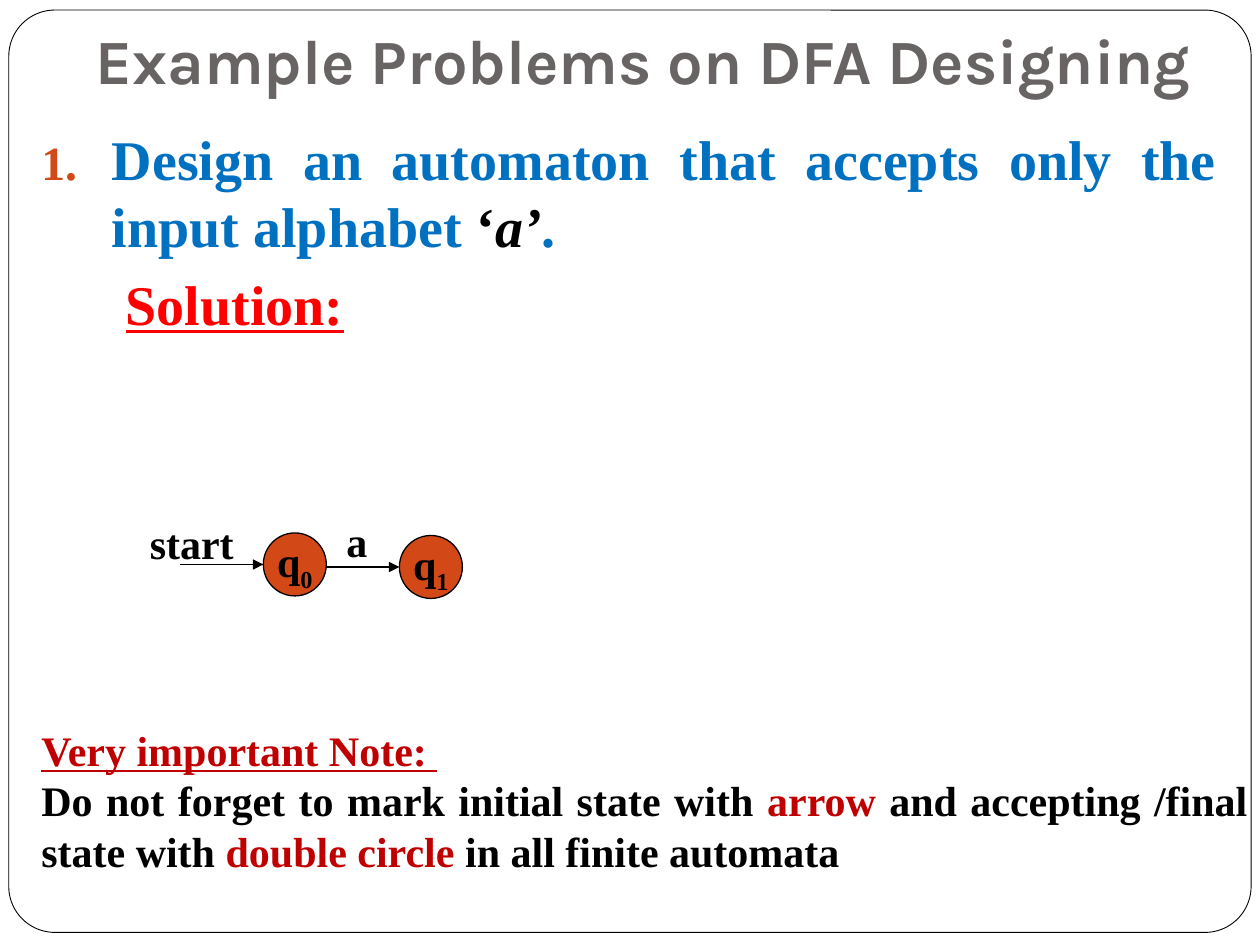
"""Build a slide on designing a DFA that accepts only the input 'a'."""
from dataclasses import dataclass, field
from typing import Any

import pptx
import pptx.dml.color
import pptx.enum.shapes
import pptx.enum.text
import pptx.oxml
import pptx.util
from pptx.util import Inches

ALIGN = pptx.enum.text.PP_ALIGN
ANCHOR = pptx.enum.text.MSO_ANCHOR
SHAPES = pptx.enum.shapes.MSO_SHAPE
NAMESPACE = 'xmlns:a="http://schemas.openxmlformats.org/drawingml/2006/main"'
BLACK, WHITE, GREY = "000000", "FFFFFF", "696464"
BLUE, RED, DARK_RED, ORANGE = "0070C0", "FF0000", "C00000", "D34817"
SERIF = "Times New Roman"
NUMBERING = (
    f'<a:buClr {{ns}}><a:srgbClr val="{ORANGE}"/></a:buClr>',
    '<a:buSzPct {ns} val="85000"/>',
    f'<a:buFont {{ns}} typeface="{SERIF}"/>',
    '<a:buAutoNum {ns} type="arabicPeriod"/>',
)


@dataclass
class Span:
    text: str
    color: str = BLACK
    size: float = 24
    font: str = SERIF
    style: dict[str, Any] = field(default_factory=dict)
    baseline: int = 0


@dataclass
class Line:
    spans: list[Span]
    align: Any = ALIGN.JUSTIFY
    before: float = 0
    margin: float = 0
    indent: float = 0
    numbered: bool = False


@dataclass
class State:
    index: str
    left: float
    top: float
    arrow_start: float
    label: str
    label_box: tuple[float, float, float, float]


def rgb(color: str) -> pptx.dml.color.RGBColor:
    return pptx.dml.color.RGBColor.from_string(color)


def set_all(target: Any, values: dict[str, Any]) -> None:
    for name, value in values.items():
        setattr(target, name, value)


def append_xml(parent: Any, xml: str) -> None:
    parent.append(pptx.oxml.parse_xml(xml.format(ns=NAMESPACE)))


def write(frame: Any, lines: list[Line], **frame_format: Any) -> None:
    set_all(frame, {"word_wrap": True, **frame_format})
    for number, line in enumerate(lines):
        paragraph = frame.add_paragraph() if number else frame.paragraphs[0]
        properties = paragraph._p.get_or_add_pPr()
        properties.set("marL", str(Inches(line.margin)))
        properties.set("indent", str(Inches(line.indent)))
        if line.numbered:
            for xml in NUMBERING:
                append_xml(properties, xml)
        set_all(paragraph, {"alignment": line.align,
                            "space_before": pptx.util.Pt(line.before)})
        for span in line.spans:
            run = paragraph.add_run()
            run.text = span.text
            set_all(run.font, {"name": span.font, "bold": True,
                               "size": pptx.util.Pt(span.size), **span.style})
            run.font.color.rgb = rgb(span.color)
            if span.baseline:
                run._r.get_or_add_rPr().set("baseline", str(span.baseline))


def add_text(slide: Any, box: tuple[float, float, float, float],
             lines: list[Line], **frame_format: Any) -> None:
    textbox = slide.shapes.add_textbox(*map(Inches, box))
    write(textbox.text_frame, lines, **frame_format)


def add_outlined(slide: Any, kind: Any, box: tuple[float, float, float, float],
                 fill: str, width: float) -> Any:
    shape = slide.shapes.add_shape(kind, *map(Inches, box))
    shape.shadow.inherit = False
    shape.fill.solid()
    shape.fill.fore_color.rgb = rgb(fill)
    shape.line.color.rgb = rgb(BLACK)
    shape.line.width = pptx.util.Pt(width)
    return shape


def add_arrow(slide: Any, start: float, end: float, y: float) -> None:
    arrow = slide.shapes.add_connector(
        pptx.enum.shapes.MSO_CONNECTOR.STRAIGHT,
        Inches(start), Inches(y), Inches(end), Inches(y))
    arrow.line.color.rgb = rgb(BLACK)
    arrow.line.width = pptx.util.Pt(0.75)
    append_xml(arrow.line._get_or_add_ln(), '<a:tailEnd {ns} type="triangle"/>')
    append_xml(arrow._element.spPr, "<a:effectLst {ns}/>")


def add_state(slide: Any, state: State, diameter: float = 0.5) -> None:
    add_arrow(slide, state.arrow_start, state.left, state.top + diameter / 2)
    circle = add_outlined(slide, SHAPES.OVAL,
                          (state.left, state.top, diameter, diameter), ORANGE, 0.75)
    name = [Span("q"), Span(state.index, baseline=-25000)]
    write(circle.text_frame, [Line(name, ALIGN.CENTER)],
          word_wrap=False, vertical_anchor=ANCHOR.MIDDLE)
    add_text(slide, state.label_box, [Line([Span(state.label)], ALIGN.LEFT)],
             word_wrap=False)


def main() -> None:
    deck = pptx.Presentation()
    set_all(deck, {"slide_width": Inches(10), "slide_height": Inches(7.5)})
    slide = deck.slides.add_slide(deck.slide_layouts[6])

    border = add_outlined(slide, SHAPES.ROUNDED_RECTANGLE,
                          (0.07, 0.08, 9.86, 7.32), WHITE, 0.5)
    border.adjustments[0] = 0.05

    title = Span("Example Problems on DFA Designing", GREY, 36, "Karla")
    add_text(slide, (0.55, 0.23, 9.11, 0.64), [Line([title], ALIGN.CENTER)],
             vertical_anchor=ANCHOR.BOTTOM, margin_bottom=Inches(0.1))

    question = [
        Span("Design an automaton that accepts only the input alphabet ", BLUE, 32),
        Span("‘", size=32),
        Span("a’", size=32, style={"italic": True}),
        Span(".", BLUE, 32),
    ]
    solution = Span("Solution:", RED, 32, style={"underline": True})
    add_text(slide, (0.23, 0.94, 9.53, 6.33), [
        Line(question, margin=0.56, indent=-0.56, numbered=True),
        Line([solution], before=5.8, margin=0.67),
    ])

    note = [
        Span("Do not forget to mark initial state with "),
        Span("arrow", DARK_RED),
        Span(" and accepting /final state with "),
        Span("double circle ", DARK_RED),
        Span("in all finite automata"),
    ]
    heading = Span("Very important Note: ", DARK_RED, style={"underline": True})
    add_text(slide, (0.23, 5.7, 9.77, 1.31), [Line([heading]), Line(note)])

    for state in (
        State("1", 3.17, 4.25, 2.58, "a", (2.65, 4.04, 0.37, 0.51)),
        State("0", 2.09, 4.23, 1.43, "start", (1.09, 4.06, 0.88, 0.51)),
    ):
        add_state(slide, state)

    deck.save("out.pptx")


if __name__ == "__main__":
    main()
